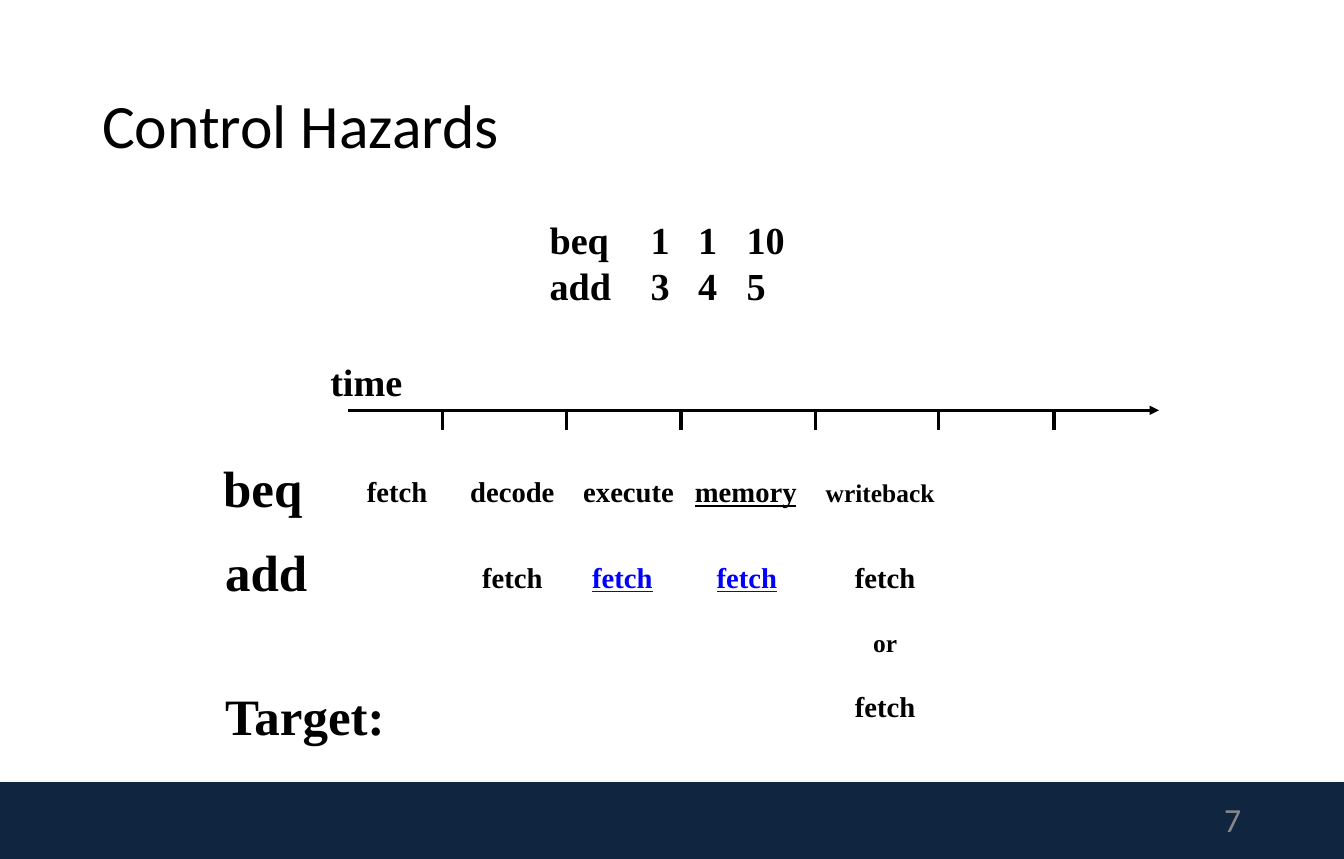
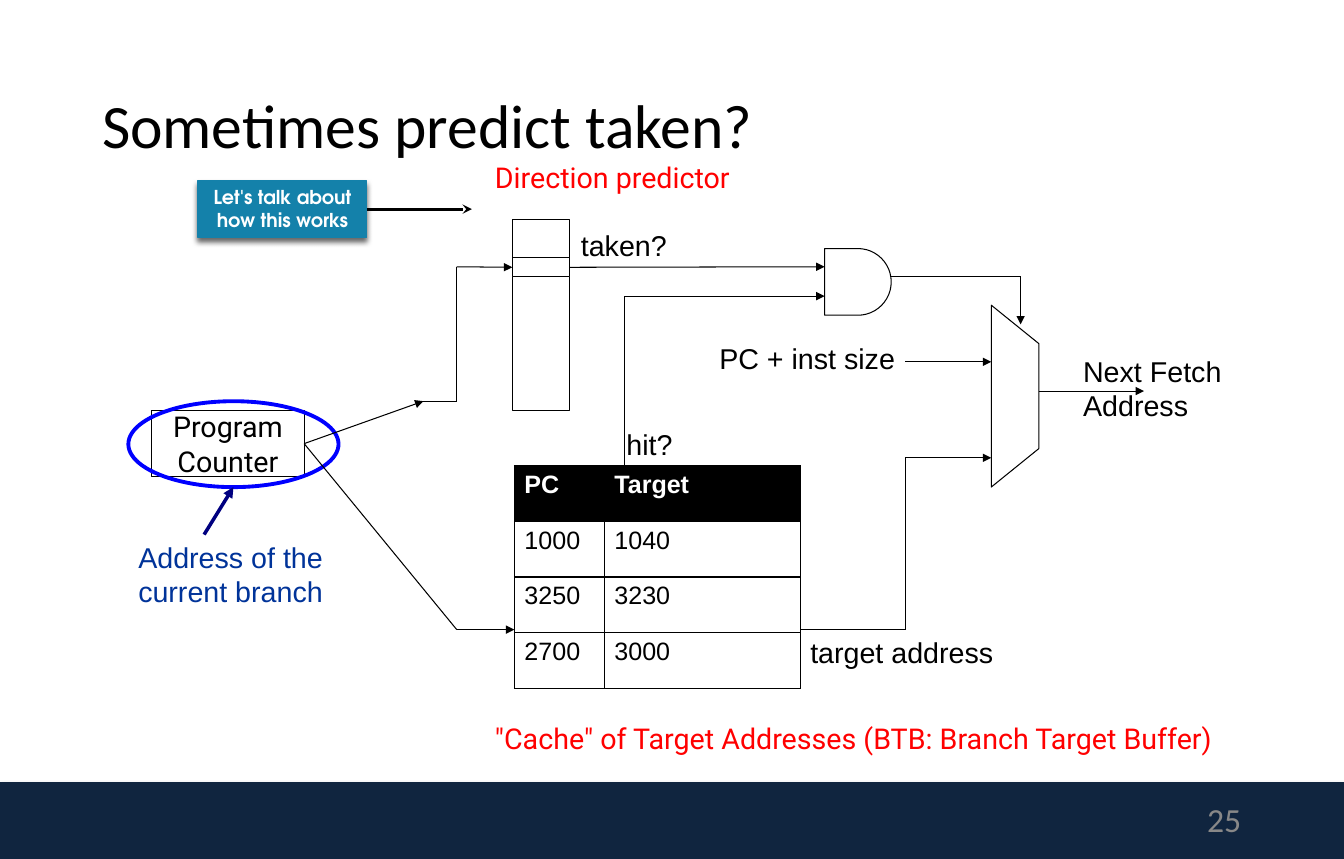
from itertools import pairwise

from lxml import etree
from pptx import Presentation
from pptx.dml.color import RGBColor
from pptx.enum.shapes import MSO_CONNECTOR, MSO_SHAPE
from pptx.enum.text import MSO_ANCHOR, MSO_AUTO_SIZE, PP_ALIGN
from pptx.oxml.ns import qn
from pptx.util import Inches, Pt

LEFT, CENTER, RIGHT = PP_ALIGN.LEFT, PP_ALIGN.CENTER, PP_ALIGN.RIGHT
MIDDLE = MSO_ANCHOR.MIDDLE
STRAIGHT = MSO_CONNECTOR.STRAIGHT
RECTANGLE, OVAL, DELAY = MSO_SHAPE.RECTANGLE, MSO_SHAPE.OVAL, MSO_SHAPE.FLOWCHART_DELAY

BLACK = RGBColor(0x00, 0x00, 0x00)
WHITE = RGBColor(0xFF, 0xFF, 0xFF)
NAVY = RGBColor(0x10, 0x25, 0x3F)
GRAY = RGBColor(0x88, 0x88, 0x88)
BLUE = RGBColor(0x00, 0x00, 0xFF)
RED = RGBColor(0xFF, 0x00, 0x00)
NOTE_BLUE = RGBColor(0x00, 0x33, 0x99)
ARROW_BLUE = RGBColor(0x00, 0x00, 0x80)
TEAL = RGBColor(0x14, 0x81, 0xAA)
SERIF, SANS, ROBOTO, TITLE_FONT = "Times New Roman", "Arial", "Roboto", "Calibri"


def write(frame, lines, size, font, color=BLACK, bold=False, align=LEFT, underline=False):
    """Fill a text frame with one paragraph per line, all in one style."""
    frame.word_wrap = True
    for index, line in enumerate(lines):
        paragraph = frame.add_paragraph() if index else frame.paragraphs[0]
        paragraph.alignment = align
        run = paragraph.add_run()
        run.text = line
        run.font.size = Pt(size)
        run.font.name = font
        run.font.color.rgb = color
        run.font.bold = bold
        run.font.underline = underline
    return frame


def draw_route(slide, points, head=None, color=BLACK, width=0.75):
    """Join the points with straight connectors; the last one bears the arrowhead."""
    legs = []
    for start, end in pairwise(points):
        leg = slide.shapes.add_connector(STRAIGHT, *map(Inches, start + end))
        leg.line.color.rgb = color
        leg.line.width = Pt(width)
        properties = leg._element.spPr
        etree.SubElement(properties, qn("a:effectLst"))
        legs.append(leg)
    if head:
        etree.SubElement(legs[-1].line._get_or_add_ln(), qn("a:tailEnd"), type=head)
    return legs


prs = Presentation()
prs.slide_width, prs.slide_height = Inches(13.3), Inches(8.5)
layout = prs.slide_layouts[5]

# Shared title, page number and footer band
slides = []
for title_text, number in (("Control Hazards", "7"), ("Sometimes predict taken?", "25")):
    slide = prs.slides.add_slide(layout)
    slides.append(slide)
    title = slide.shapes.title
    title.left, title.top, title.width, title.height = map(Inches, (0.91, 0.45, 11.47, 1.64))
    frame = write(title.text_frame, [title_text], 43.9, TITLE_FONT)
    frame.auto_size = MSO_AUTO_SIZE.NONE
    frame.vertical_anchor = MIDDLE
    frame.paragraphs[0].line_spacing = 0.9
    page = slide.shapes.add_textbox(*map(Inches, (9.39, 7.88, 2.99, 0.45)))
    write(page.text_frame, [number], 24, TITLE_FONT, GRAY, align=RIGHT).vertical_anchor = MIDDLE
hazards, predictor = slides

band = hazards.shapes.add_shape(RECTANGLE, 0, Inches(7.74), prs.slide_width, Inches(0.76))
band.fill.solid()
band.fill.fore_color.rgb = NAVY
band.line.fill.background()
layout.shapes.element.insert(2, band.element)

# Control Hazards: code and time axis
code = hazards.shapes.add_textbox(*map(Inches, (5.34, 2.09, 2.8, 1.03)))
write(code.text_frame, ["beq\t1\t1\t10", "add\t3\t4\t5"], 27.2, SERIF, bold=True)
for paragraph in code.text_frame.paragraphs:
    stops = etree.SubElement(paragraph._p.get_or_add_pPr(), qn("a:tabLst"))
    for position in (1.0, 1.47, 1.95):
        etree.SubElement(stops, qn("a:tab"), pos=str(Inches(position)), algn="l")

AXIS_Y = 4.06
draw_route(hazards, [(3.44, AXIS_Y), (11.47, AXIS_Y)], "triangle", width=2.25)
for x in (4.38, 5.61, 6.74, 8.07, 9.29, 10.43):
    draw_route(hazards, [(x, AXIS_Y), (x, 4.25)], width=2.25)

for text, left, top, size in (
    ("time", 3.17, 3.5, 27.2),
    ("beq", 2.11, 4.47, 36.3),
    ("add", 2.13, 5.3, 36.3),
    ("Target:", 2.13, 6.72, 36.3),
):
    row_label = hazards.shapes.add_textbox(*map(Inches, (left, top, 2, 0.7)))
    write(row_label.text_frame, [text], size, SERIF, bold=True)

# Pipeline stages, centred on their time slots
STAGE_WIDTH = 1.4
BEQ_ROW, ADD_ROW, OR_ROW, TARGET_ROW = 4.64, 5.49, 6.16, 6.77
for text, center, top, size, color, underline in (
    ("fetch", 3.93, BEQ_ROW, 20.4, BLACK, False),
    ("decode", 5.07, BEQ_ROW, 20.4, BLACK, False),
    ("execute", 6.22, BEQ_ROW, 20.4, BLACK, False),
    ("memory", 7.38, BEQ_ROW, 20.4, BLACK, True),
    ("writeback", 8.71, BEQ_ROW + 0.03, 18.1, BLACK, False),
    ("fetch", 5.07, ADD_ROW, 20.4, BLACK, False),
    ("fetch", 6.16, ADD_ROW, 20.4, BLUE, True),
    ("fetch", 7.39, ADD_ROW, 20.4, BLUE, True),
    ("fetch", 8.76, ADD_ROW, 20.4, BLACK, False),
    ("or", 8.76, OR_ROW, 18.1, BLACK, False),
    ("fetch", 8.76, TARGET_ROW, 20.4, BLACK, False),
):
    left = center - STAGE_WIDTH / 2
    stage = hazards.shapes.add_textbox(*map(Inches, (left, top, STAGE_WIDTH, 0.46)))
    write(stage.text_frame, [text], size, SERIF, color, True, CENTER, underline)

# Branch target buffer
rows = (("PC", "Target"), ("1000", "1040"), ("3250", "3230"), ("2700", "3000"))
buffer = predictor.shapes.add_table(4, 2, *map(Inches, (5.09, 4.61, 2.83, 2.2))).table
for column, width in zip(buffer.columns, (0.89, 1.94)):
    column.width = Inches(width)
for r, values in enumerate(rows):
    buffer.rows[r].height = Inches(0.55)
    for c, value in enumerate(values):
        cell = buffer.cell(r, c)
        header = r == 0
        write(cell.text_frame, [value], 17.9, SANS, WHITE if header else BLACK, header)
        cell_properties = cell._tc.get_or_add_tcPr()
        for side in ("a:lnL", "a:lnR", "a:lnT", "a:lnB"):
            border = etree.SubElement(cell_properties, qn(side), w=str(Pt(1)))
            fill = etree.SubElement(border, qn("a:solidFill"))
            etree.SubElement(fill, qn("a:srgbClr"), val=str(BLACK))
        cell.fill.solid()
        cell.fill.fore_color.rgb = BLACK if header else WHITE

# Blocks of the circuit
blocks = []
for kind, box, fill, line, width in (
    (RECTANGLE, (5.07, 2.17, 0.57, 1.89), None, BLACK, 0.75),
    (RECTANGLE, (5.07, 2.55, 0.57, 0.19), WHITE, BLACK, 0.75),
    (RECTANGLE, (1.5, 4.06, 1.51, 0.66), None, BLACK, 0.75),
    (DELAY, (8.16, 2.46, 0.66, 0.66), None, BLACK, 0.75),
    (OVAL, (1.27, 3.97, 2.08, 0.85), None, BLUE, 2.75),
    (RECTANGLE, (1.96, 1.79, 1.67, 0.56), TEAL, TEAL, 0.75),
):
    block = predictor.shapes.add_shape(kind, *map(Inches, box))
    block.shadow.inherit = False
    if fill is None:
        block.fill.background()
    else:
        block.fill.solid()
        block.fill.fore_color.rgb = fill
    block.line.color.rgb = line
    block.line.width = Pt(width)
    blocks.append(block)
history, entry, counter, and_gate, highlight, callout = blocks

write(counter.text_frame, ["Program", "Counter"], 20.4, ROBOTO, align=CENTER)
counter.text_frame.vertical_anchor = MIDDLE
write(callout.text_frame, ["Let's talk about how this works"], 13.6,
      "TeX Gyre Adventor", WHITE, True, CENTER).vertical_anchor = MSO_ANCHOR.TOP

outline = predictor.shapes.build_freeform(Inches(9.81), Inches(3.02))
outline.add_line_segments([tuple(map(Inches, corner)) for corner in
                           ((10.28, 3.4), (10.28, 4.44), (9.81, 4.82))])
mux = outline.convert_to_shape()
mux.shadow.inherit = False
mux.fill.background()
mux.line.color.rgb = BLACK
mux.line.width = Pt(0.75)

# Wires
to_bend = draw_route(predictor, [(3.01, 4.39), (4.19, 3.97)], "triangle")
to_entry = draw_route(predictor, [(4.14, 3.97), (4.52, 3.97), (4.52, 2.64), (5.07, 2.64)], "triangle")
to_buffer = draw_route(predictor, [(3.01, 4.39), (4.52, 6.23), (5.09, 6.23)], "triangle")
taken = draw_route(predictor, [(5.64, 2.64), (8.16, 2.64)], "triangle")
to_bend[0].begin_connect(counter, 3)
to_buffer[0].begin_connect(counter, 3)
to_entry[-1].end_connect(entry, 1)
taken[0].begin_connect(entry, 3)
for points in (
    [(7.92, 6.23), (8.96, 6.23), (8.96, 4.53), (9.81, 4.53)],
    [(8.96, 3.58), (9.81, 3.58)],
    [(10.28, 3.87), (11.32, 3.87)],
    [(8.82, 2.74), (10.1, 2.74), (10.1, 3.21)],
    [(6.18, 4.61), (6.18, 2.93), (8.16, 2.93)],
):
    draw_route(predictor, points, "triangle")
draw_route(predictor, [(2.02, 5.29), (2.31, 4.82)], "triangle", ARROW_BLUE, 2.5)
pointer = draw_route(predictor, [(3.63, 2.07), (4.67, 2.07)], "stealth", width=2.25)
pointer[0].begin_connect(callout, 3)

for lines, left, top, width, font, color in (
    (["target address"], 7.92, 6.23, 2.2, SANS, BLACK),
    (["PC + inst size"], 7.02, 3.32, 2.1, SANS, BLACK),
    (["taken?"], 5.65, 2.21, 1.2, SANS, BLACK),
    (["Next Fetch", "Address"], 10.62, 3.45, 1.7, SANS, BLACK),
    (["hit?"], 6.1, 4.18, 0.8, SANS, BLACK),
    (["Address of the", "current branch"], 1.27, 5.29, 2.3, SANS, NOTE_BLUE),
    (["Direction predictor"], 4.8, 1.53, 2.8, ROBOTO, RED),
    (['"Cache" of Target Addresses (BTB: Branch Target Buffer)'], 4.8, 7.08, 7.7, ROBOTO, RED),
):
    caption = predictor.shapes.add_textbox(*map(Inches, (left, top, width, 0.44 * len(lines))))
    write(caption.text_frame, lines, 20.4, font, color)

# Soft shadows below the footer band and the callout
for shape, color, opacity, blur, distance in (
    (band, "808080", 35, 3.1, 1.8),
    (callout, "000000", 60, 4, 3),
):
    shape.shadow.inherit = False
    effects = shape._element.spPr.find(qn("a:effectLst"))
    shadow = etree.SubElement(effects, qn("a:outerShdw"), blurRad=str(Pt(blur)),
                              dist=str(Pt(distance)), dir="5400000", rotWithShape="0")
    tint = etree.SubElement(shadow, qn("a:srgbClr"), val=color)
    etree.SubElement(tint, qn("a:alpha"), val=str(opacity * 1000))

prs.save("out.pptx")
